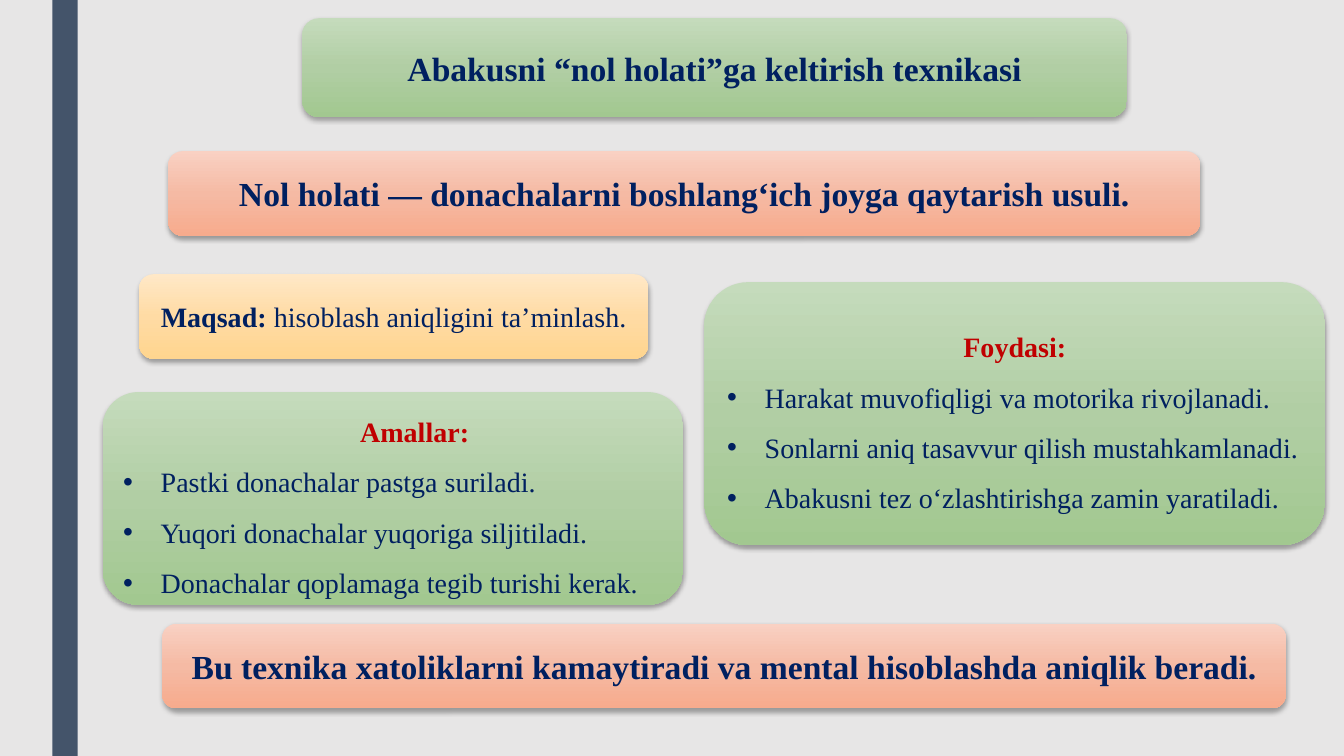
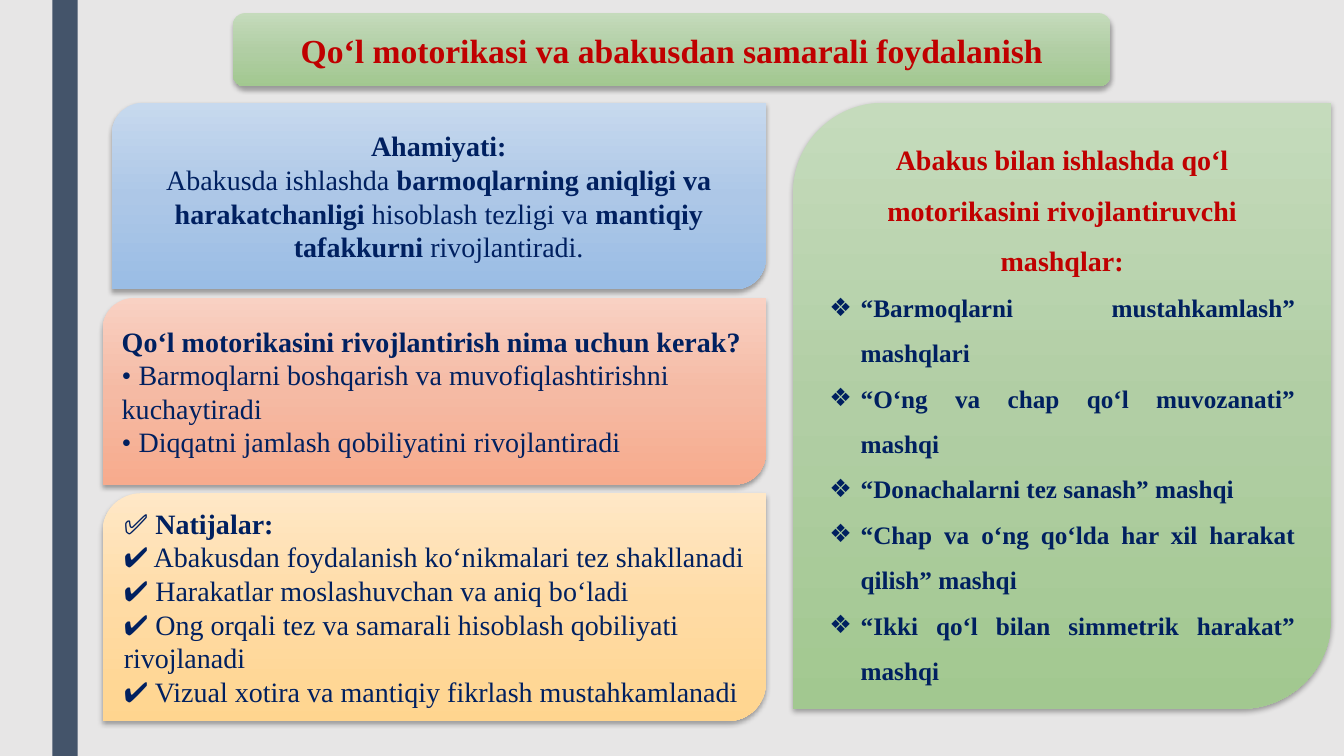
from pptx import Presentation
from pptx.dml.color import RGBColor
from pptx.enum import shapes, text
from pptx.oxml import parse_xml
from pptx.oxml.ns import nsdecls
from pptx.util import Cm, Pt

FONT = "Times New Roman"
INK = {"page": "E7E6E6", "bar": "44546A", "navy": "002060", "red": "C00000"}
GRADS = {
    "green": ("C5DBBC", "B1CEA4", "A2C890"),
    "coral": ("F9D1C3", "F5BAA4", "F7AB8D"),
    "amber": ("FFE8C7", "FFDBA4", "FFD58F"),
    "blue": ("C7D9EE", "ADC7E7", "9ABDE5"),
}
ROUND = shapes.MSO_SHAPE.ROUNDED_RECTANGLE
LEAF = shapes.MSO_SHAPE.ROUND_2_DIAG_RECTANGLE
LEFT, MID, FULL = (text.PP_ALIGN.LEFT, text.PP_ALIGN.CENTER,
                   text.PP_ALIGN.JUSTIFY)
WIDE, HIGH = 33.87, 19.05


def rgb(name):
    return RGBColor.from_string(INK[name])


def shade(shape, grad):
    """Give a shape its vertical gradient and soft drop shadow."""
    stops = "".join(
        f'<a:gs pos="{i * 50000}"><a:srgbClr val="{tone}"/></a:gs>'
        for i, tone in enumerate(GRADS[grad]))
    shape.line.fill.background()
    shape.shadow.inherit = False
    props = shape._element.spPr
    props.find("{*}ln").addprevious(parse_xml(
        f'<a:gradFill {nsdecls("a")} rotWithShape="1"><a:gsLst>{stops}</a:gsLst>'
        '<a:lin ang="5400000" scaled="0"/></a:gradFill>'))
    props.find("{*}effectLst").append(parse_xml(
        f'<a:outerShdw {nsdecls("a")} blurRad="{Pt(3.5)}" dist="{Pt(2.2)}" '
        'dir="5400000" algn="ctr" rotWithShape="0"><a:srgbClr val="000000">'
        '<a:alpha val="32000"/></a:srgbClr></a:outerShdw>'))


def bullet(para, mark, indent):
    props = para._p.get_or_add_pPr()
    props.set("marL", str(Cm(indent)))
    props.set("indent", str(-Cm(indent)))
    for tag in ('buFont typeface="Arial"', f'buChar char="{mark}"'):
        props.append(parse_xml(f'<a:{tag} {nsdecls("a")}/>'))


def write(para, words, size=20, ink="navy", align=MID, gap=None, mark=None,
          indent=0.95):
    """Fill a paragraph; words between asterisks are bold."""
    if mark:
        bullet(para, mark, indent)
    para.alignment = align
    if gap:
        para.line_spacing = gap
    font = para.font
    font.name, font.size, font.color.rgb = FONT, Pt(size), rgb(ink)
    for i, part in enumerate(words.split("*")):
        for j, line in enumerate(part.split("\n")):
            if j:
                para.add_line_break()
            if line:
                run = para.add_run()
                run.text, run.font.bold = line, i % 2 == 1


def card(slide, box, grad, words, kind=ROUND, **style):
    """Draw a shaded box with one paragraph and return its text frame."""
    shape = slide.shapes.add_shape(kind, *map(Cm, box))
    shade(shape, grad)
    frame = shape.text_frame
    frame.word_wrap = True
    frame.vertical_anchor = text.MSO_ANCHOR.MIDDLE
    write(frame.paragraphs[0], words, **style)
    return frame


def banner(slide, box, grad, words, ink="navy"):
    card(slide, box, grad, f"*{words}*", size=24, ink=ink)


def points(slide, box, head, items, kind=ROUND, **style):
    """Draw a green card with a red heading over bulleted items."""
    frame = card(slide, box, "green", head, kind, ink="red", gap=1.5)
    for item in items:
        write(frame.add_paragraph(), item, gap=1.5, **style)


def stack(slide, box, parts, gap=0.22):
    """Pile leaf cards down a column, each given as inset, height and look."""
    left, top, width = box
    for inset, height, grad, align, words in parts:
        card(slide, (left + inset, top, width - inset, height), grad, words,
             LEAF, align=align)
        top += height + gap


def page(deck):
    slide = deck.slides.add_slide(deck.slide_layouts[6])
    bar = slide.shapes.add_shape(shapes.MSO_SHAPE.RECTANGLE,
                                 *map(Cm, (1.32, 0, 0.64, HIGH)))
    bar.fill.solid()
    bar.fill.fore_color.rgb = rgb("bar")
    bar.line.fill.background()
    bar.shadow.inherit = False
    return slide


def zero(slide):
    banner(slide, (7.62, 0.46, 20.78, 2.49), "green",
           "Abakusni “nol holati”ga keltirish texnikasi")
    points(slide, (2.59, 9.88, 14.63, 5.36), "\t*Amallar: *", (
        "Pastki donachalar pastga suriladi.",
        "Yuqori donachalar yuqoriga siljitiladi.",
        "Donachalar qoplamaga tegib turishi kerak.",
    ), align=FULL, mark="•")
    banner(slide, (4.09, 15.72, 28.32, 2.13), "coral",
           "Bu texnika xatoliklarni kamaytiradi va mental hisoblashda "
           "aniqlik beradi.")
    banner(slide, (4.24, 3.81, 26.01, 2.13), "coral",
           "Nol holati — donachalarni boshlang‘ich joyga qaytarish usuli.")
    card(slide, (3.51, 6.91, 12.83, 2.13), "amber",
         "*Maqsad: *hisoblash aniqligini ta’minlash.")
    points(slide, (17.75, 7.11, 15.65, 6.63), "*Foydasi:*", (
        "Harakat muvofiqligi va motorika rivojlanadi.",
        "Sonlarni aniq tasavvur qilish mustahkamlanadi.",
        "Abakusni tez o‘zlashtirishga zamin yaratiladi.",
    ), align=LEFT, mark="•")


def motor(slide):
    banner(slide, (5.87, 0.33, 22.12, 1.85), "green",
           "Qo‘l motorikasi va abakusdan samarali foydalanish", "red")
    stack(slide, (2.59, 2.59, 16.71), (
        (0.23, 4.7, "blue", MID,
         "*Ahamiyati:\n*Abakusda ishlashda *barmoqlarning aniqligi va "
         "harakatchanligi *hisoblash tezligi va *mantiqiy tafakkurni "
         "*rivojlantiradi."),
        (0, 4.7, "coral", LEFT,
         "*Qo‘l motorikasini rivojlantirish nima uchun kerak?\n*"
         "• Barmoqlarni boshqarish va muvofiqlashtirishni kuchaytiradi\n"
         "• Diqqatni jamlash qobiliyatini rivojlantiradi"),
        (0, 5.74, "amber", LEFT,
         "✅ *Natijalar:\n*"
         "✔ Abakusdan foydalanish ko‘nikmalari tez shakllanadi\n"
         "✔ Harakatlar moslashuvchan va aniq bo‘ladi\n"
         "✔ Ong orqali tez va samarali hisoblash qobiliyati rivojlanadi\n"
         "✔ Vizual xotira va mantiqiy fikrlash mustahkamlanadi"),
    ))
    points(slide, (19.99, 2.59, 13.56, 15.27),
           "*Abakus bilan ishlashda qo‘l motorikasini rivojlantiruvchi "
           "mashqlar:*", (
               "*“Barmoqlarni mustahkamlash” mashqlari*",
               "*“O‘ng va chap qo‘l muvozanati” mashqi*",
               "*“Donachalarni tez sanash” mashqi*",
               "*“Chap va o‘ng qo‘lda har xil harakat qilish” mashqi*",
               "*“Ikki qo‘l bilan simmetrik harakat” mashqi*",
           ), LEAF, size=18, align=FULL, mark="❖", indent=0.79)


def main():
    deck = Presentation()
    deck.slide_width, deck.slide_height = Cm(WIDE), Cm(HIGH)
    back = deck.slide_master.background.fill
    back.solid()
    back.fore_color.rgb = rgb("page")
    for fill in (zero, motor):
        fill(page(deck))
    deck.save("out.pptx")


if __name__ == "__main__":
    main()
